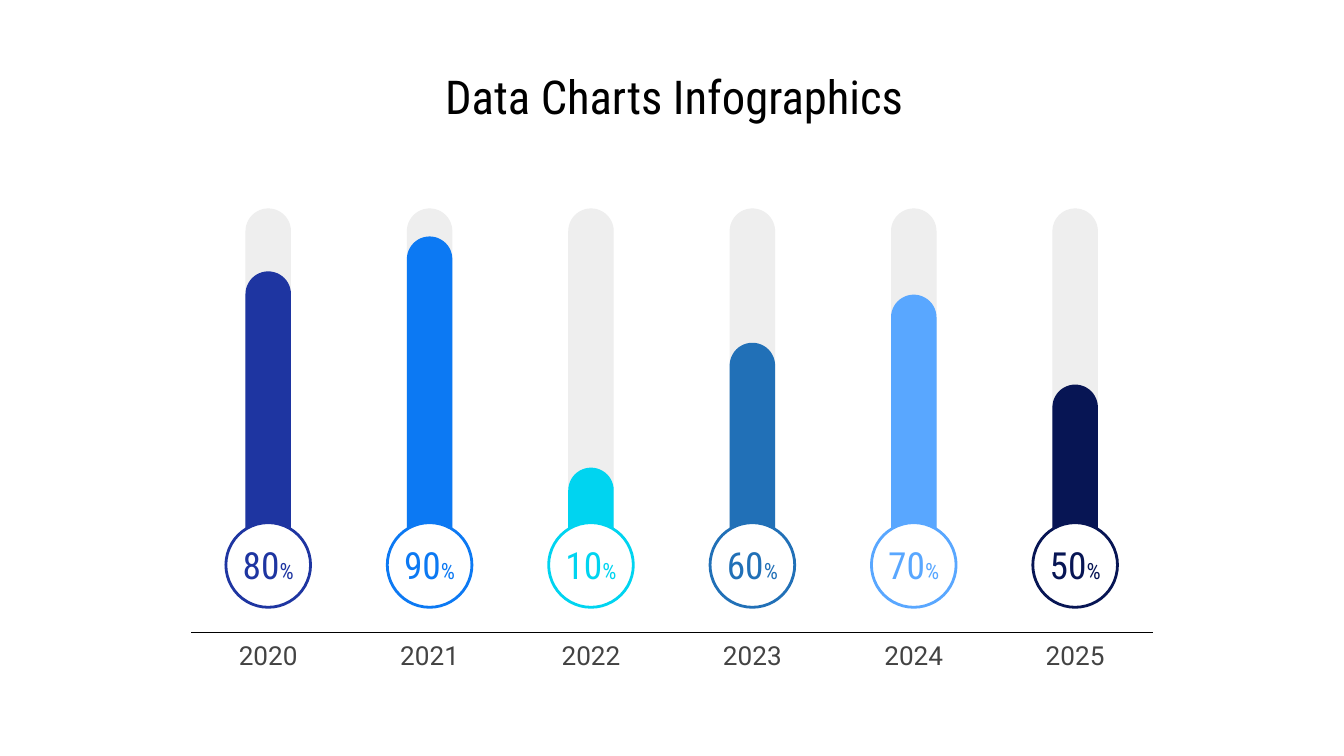
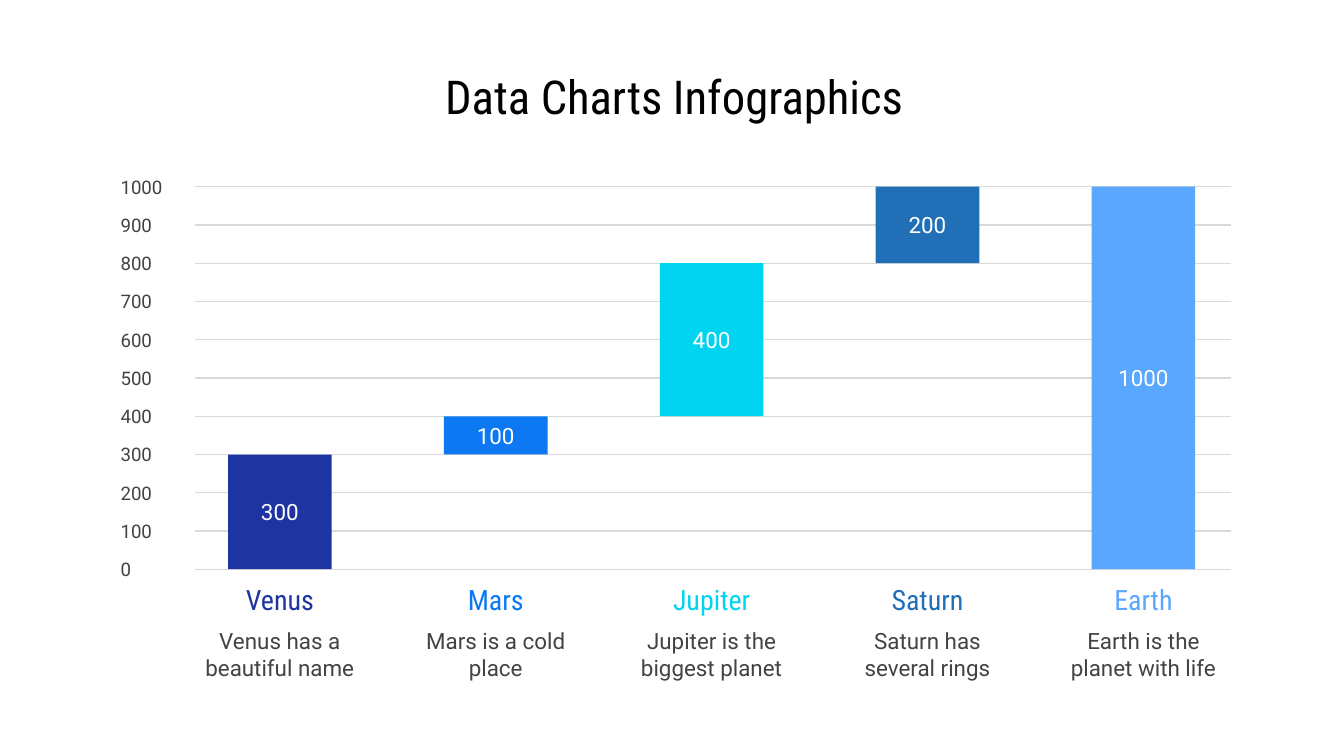
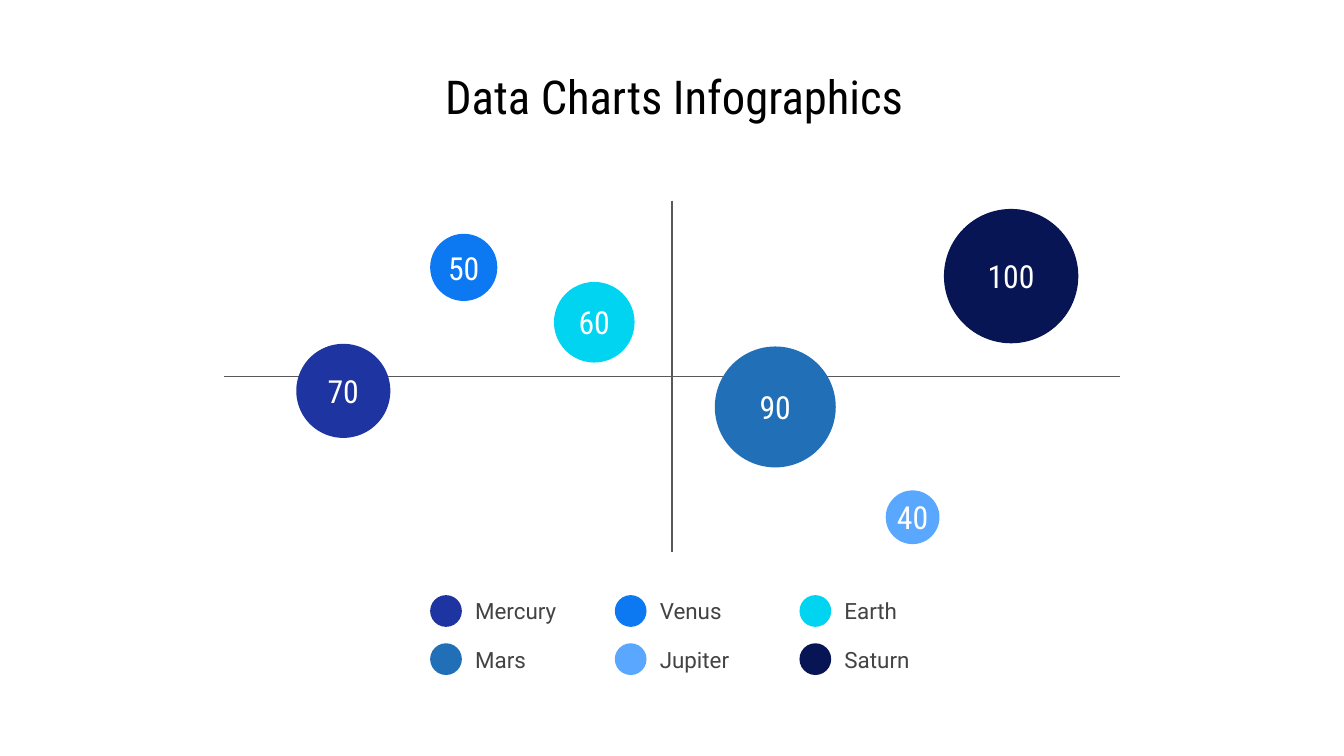
from lxml.etree import SubElement
from pptx import Presentation
from pptx.dml.color import RGBColor
from pptx.enum.shapes import MSO_CONNECTOR, MSO_SHAPE
from pptx.enum.text import MSO_ANCHOR, MSO_AUTO_SIZE, PP_ALIGN
from pptx.oxml.ns import qn
from pptx.util import Cm, Pt

COLORS = {
    "navy": "1E35A1",
    "blue": "0C79F3",
    "cyan": "00D4F0",
    "steel": "2170B7",
    "sky": "59A7FF",
    "midnight": "071554",
    "track": "EEEEEE",
    "grid": "D9D9D9",
    "axis": "595959",
    "text": "434343",
    "black": "000000",
    "white": "FFFFFF",
}
COLORS = {name: RGBColor.from_string(value) for name, value in COLORS.items()}
SERIES = ["navy", "blue", "cyan", "steel", "sky", "midnight"]
BODY_FONT = "Roboto"
HEADING_FONT = "Roboto Condensed"


def add_item(slide, kind, left, top, width, height, fill=None, text="", size=12,
             font=BODY_FONT, color="text", align=PP_ALIGN.CENTER):
    box = (Cm(left), Cm(top), Cm(width), Cm(height))
    if kind is None:
        shape = slide.shapes.add_textbox(*box)
    else:
        shape = slide.shapes.add_shape(kind, *box)
        shape.shadow.inherit = False
        shape.fill.solid()
        shape.fill.fore_color.rgb = COLORS[fill]
        shape.line.fill.background()
    if text:
        frame = shape.text_frame
        frame.word_wrap = True
        frame.vertical_anchor = MSO_ANCHOR.MIDDLE
        frame.margin_top = frame.margin_bottom = Cm(0.25)
        frame.margin_left = frame.margin_right = Cm(0 if kind == MSO_SHAPE.OVAL else 0.25)
        paragraph = frame.paragraphs[0]
        paragraph.text = text
        paragraph.alignment = align
        paragraph.font.name = font
        paragraph.font.size = Pt(size)
        paragraph.font.color.rgb = COLORS[color]
    return shape


def add_line(slide, start_x, start_y, end_x, end_y, color):
    connector = slide.shapes.add_connector(
        MSO_CONNECTOR.STRAIGHT, Cm(start_x), Cm(start_y), Cm(end_x), Cm(end_y))
    connector.line.color.rgb = COLORS[color]
    connector.line.width = Pt(0.75)
    SubElement(connector._element.spPr, qn("a:effectLst"))


presentation = Presentation()
presentation.slide_width = Cm(25.4)
presentation.slide_height = Cm(14.29)

for number in range(3):
    slide = presentation.slides.add_slide(presentation.slide_layouts[5])
    title = slide.shapes.title
    title.left, title.top, title.width, title.height = Cm(1.35), Cm(1.14), Cm(22.78), Cm(1.35)
    frame = title.text_frame
    frame.auto_size = MSO_AUTO_SIZE.NONE
    frame.vertical_anchor = MSO_ANCHOR.MIDDLE
    frame.margin_left = frame.margin_right = frame.margin_top = frame.margin_bottom = Cm(0.25)
    paragraph = frame.paragraphs[0]
    paragraph.text = "Data Charts Infographics"
    paragraph.alignment = PP_ALIGN.CENTER
    paragraph.font.name = HEADING_FONT
    paragraph.font.size = Pt(25)
    paragraph.font.color.rgb = COLORS["black"]

gauge_slide, waterfall_slide, bubble_slide = presentation.slides

gauges = [("80", 5.82), ("90", 6.48), ("10", 2.11), ("60", 4.47), ("70", 5.38), ("50", 3.68)]
gauge_bottom = 10.95
track_height = 7.01
for index, (percent, bar_height) in enumerate(gauges):
    color = SERIES[index]
    center = 5.07 + index * 3.05
    for height, fill in [(track_height, "track"), (bar_height, color)]:
        bar = add_item(gauge_slide, MSO_SHAPE.ROUNDED_RECTANGLE,
                       center - 0.43, gauge_bottom - height, 0.86, height, fill)
        bar.adjustments[0] = 0.5
    badge = add_item(gauge_slide, MSO_SHAPE.OVAL, center - 0.8, 9.88, 1.6, 1.6, "white",
                     percent, 20, HEADING_FONT, color)
    badge.line.color.rgb = COLORS[color]
    badge.line.width = Pt(1.5)
    percent_sign = badge.text_frame.paragraphs[0].add_run()
    percent_sign.text = "%"
    percent_sign.font.size = Pt(12)
    add_item(gauge_slide, None, center - 0.88, 11.96, 1.76, 0.84, text=str(2020 + index), size=14)
add_line(gauge_slide, 3.61, 11.96, 21.79, 11.96, "black")

zero_y = 10.76
unit_height = 0.723 / 100
for value in range(0, 1001, 100):
    y = zero_y - value * unit_height
    add_line(waterfall_slide, 3.68, y, 23.27, y, "grid")
    add_item(waterfall_slide, None, 2.03, y - 0.28, 1.45, 0.56,
             text=str(value), size=10, align=PP_ALIGN.LEFT)

steps = [
    ("Venus", 0, 300, "Venus has a beautiful name"),
    ("Mars", 300, 100, "Mars is a cold place"),
    ("Jupiter", 400, 400, "Jupiter is the biggest planet"),
    ("Saturn", 800, 200, "Saturn has several rings"),
    ("Earth", 0, 1000, "Earth is the planet with life"),
]
for index, (planet, base, value, description) in enumerate(steps):
    color = SERIES[index]
    center = 5.29 + index * 4.08
    add_item(waterfall_slide, MSO_SHAPE.RECTANGLE, center - 0.98,
             zero_y - (base + value) * unit_height, 1.96, value * unit_height,
             color, str(value), color="white")
    add_item(waterfall_slide, None, center - 1.73, 11.05, 3.46, 0.56,
             text=planet, size=15, font=HEADING_FONT, color=color)
    add_item(waterfall_slide, None, center - 1.73, 11.84, 3.46, 1.04, text=description)

add_line(bubble_slide, 12.7, 3.79, 12.7, 10.44, "axis")
add_line(bubble_slide, 4.23, 7.12, 21.17, 7.12, "axis")

bubbles = [
    ("Mercury", 70, 5.6, 6.5),
    ("Venus", 50, 8.13, 4.42),
    ("Earth", 60, 10.47, 5.33),
    ("Mars", 90, 13.51, 6.55),
    ("Jupiter", 40, 16.74, 9.27),
    ("Saturn", 100, 17.84, 3.95),
]
for index, (planet, value, left, top) in enumerate(bubbles):
    color = SERIES[index]
    diameter = value * 2.54 / 100
    add_item(bubble_slide, MSO_SHAPE.OVAL, left, top, diameter, diameter, color,
             str(value), 17, HEADING_FONT, "white")
    row, column = divmod(index, 3)
    legend_left = 8.13 + column * 3.49
    legend_top = 11.25 + row * 0.91
    add_item(bubble_slide, MSO_SHAPE.OVAL, legend_left, legend_top, 0.6, 0.6, color)
    add_item(bubble_slide, None, legend_left + 0.6, legend_top + 0.02, 2.21, 0.56,
             text=planet, align=PP_ALIGN.LEFT)

presentation.save("out.pptx")
